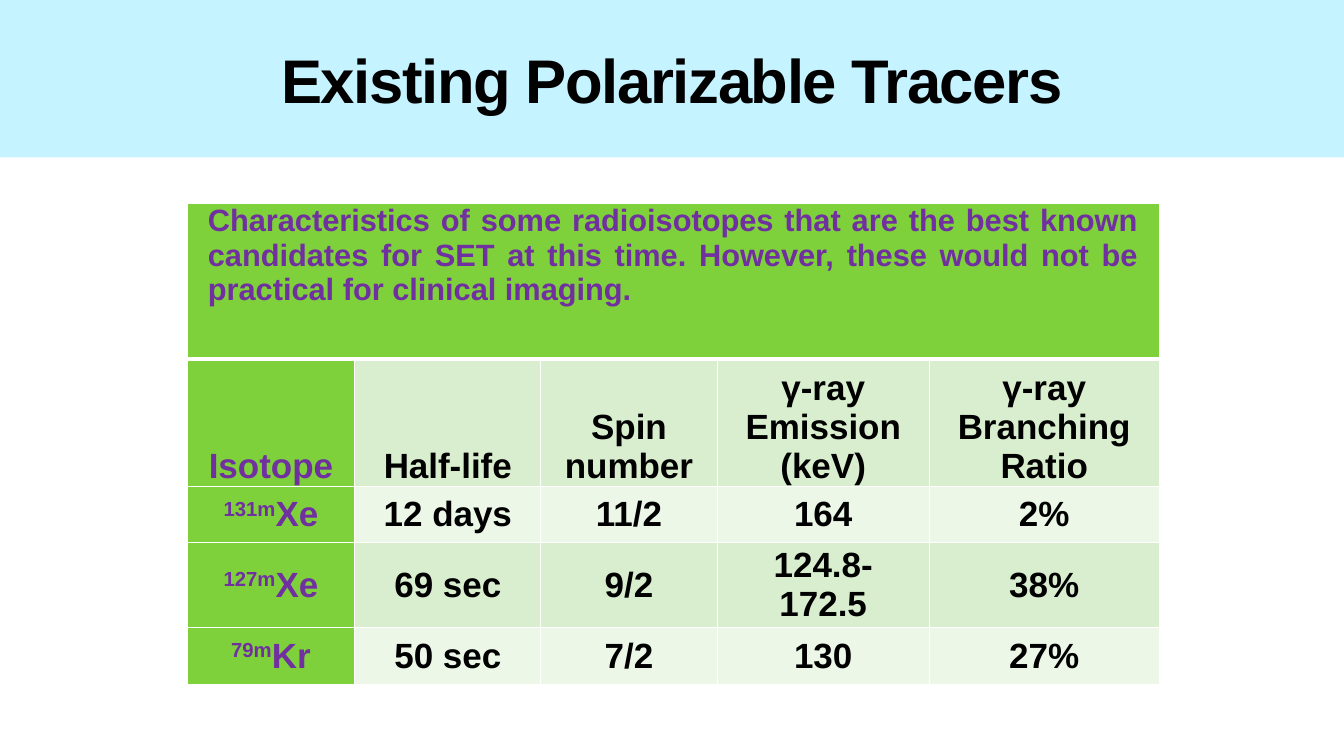
from lxml import etree
from pptx import Presentation
from pptx import util as u
from pptx.dml.color import RGBColor
from pptx.enum import text
from pptx.oxml.ns import qn

PX = 9525  # EMU per px, 96 px to the inch
FONT = "Arial"
COLORS = {
    "banner": "C5F3FF",
    "green": "7FD13B",
    "dark band": "D8EECE",
    "light band": "ECF7E8",
    "purple": "7030A0",
    "black": "000000",
    "white": "FFFFFF",
}
COLUMN_WIDTHS = [160, 177, 168, 202, 219]
ROW_HEIGHTS = [148, 121, 54, 81, 54]
CAPTION = (
    "Characteristics of some radioisotopes that are the best known candidates "
    "for SET at this time. However, these would not be practical for clinical imaging."
)
HEADINGS = ["Isotope", "Half-life", "Spin number", "γ-ray Emission (keV)",
            "γ-ray Branching Ratio"]
# Each isotope is a raised mass number and an element symbol
ISOTOPES = [
    [("131m", "Xe"), "12 days", "11/2", "164", "2%"],
    [("127m", "Xe"), "69 sec", "9/2", "124.8-172.5", "38%"],
    [("79m", "Kr"), "50 sec", "7/2", "130", "27%"],
]


def px(value):
    return u.Emu(value * PX)


def color(name):
    return RGBColor.from_string(COLORS[name])


def format_paragraph(paragraph, size, color_name, alignment):
    paragraph.alignment = alignment
    font = paragraph.font
    font.name, font.size, font.bold = FONT, u.Pt(size), True
    font.color.rgb = color(color_name)


def add_title(slide, title_text):
    title = slide.shapes.title
    title.left, title.top, title.width, title.height = px(0), px(0), px(1280), px(150)
    title.fill.solid()
    title.fill.fore_color.rgb = color("banner")
    frame = title.text_frame
    frame.vertical_anchor = text.MSO_ANCHOR.MIDDLE
    paragraph = frame.paragraphs[0]
    run = paragraph.add_run()
    run.text = title_text
    format_paragraph(paragraph, 44, "black", text.PP_ALIGN.CENTER)
    run.font._element.set("spc", "-100")


def set_borders(cell, top=1, bottom=1):
    properties = cell._tc.get_or_add_tcPr()
    for side, points in (("L", 1), ("R", 1), ("T", top), ("B", bottom)):
        line = etree.SubElement(properties, qn(f"a:ln{side}"), w=str(u.Pt(points)))
        fill = etree.SubElement(line, qn("a:solidFill"))
        etree.SubElement(fill, qn("a:srgbClr"), val=COLORS["white"])


def style_cell(cell, fill_name, anchor):
    cell.fill.solid()
    cell.fill.fore_color.rgb = color(fill_name)
    cell.margin_left = cell.margin_right = px(20)
    cell.margin_top = cell.margin_bottom = 0
    cell.vertical_anchor = anchor


def fill_cell(cell, content, size, color_name, alignment):
    paragraph = cell.text_frame.paragraphs[0]
    if isinstance(content, tuple):
        mass, symbol = paragraph.add_run(), paragraph.add_run()
        mass.text, symbol.text = content
        mass.font._element.set("baseline", "30000")
    else:
        paragraph.add_run().text = content
    format_paragraph(paragraph, size, color_name, alignment)


def add_isotope_table(slide):
    rows = [HEADINGS] + ISOTOPES
    table = slide.shapes.add_table(
        len(ROW_HEIGHTS), len(COLUMN_WIDTHS), px(178), px(194),
        px(sum(COLUMN_WIDTHS)), px(sum(ROW_HEIGHTS))).table
    table.first_row = table.horz_banding = False
    for column, width in zip(table.columns, COLUMN_WIDTHS):
        column.width = px(width)
    for row, height in zip(table.rows, ROW_HEIGHTS):
        row.height = px(height)

    # Caption across all columns
    for cell in table.rows[0].cells:
        set_borders(cell, bottom=3)
        style_cell(cell, "green", text.MSO_ANCHOR.TOP)
    caption = table.cell(0, 0)
    caption.merge(table.cell(0, len(COLUMN_WIDTHS) - 1))
    fill_cell(caption, CAPTION, 22, "purple", text.PP_ALIGN.JUSTIFY)

    # Headings and isotopes in alternating bands
    for row_index, values in enumerate(rows, start=1):
        heading = row_index == 1
        band = "dark band" if row_index % 2 else "light band"
        anchor = text.MSO_ANCHOR.BOTTOM if heading else text.MSO_ANCHOR.MIDDLE
        for column_index, value in enumerate(values):
            first = column_index == 0
            cell = table.cell(row_index, column_index)
            set_borders(cell, top=3 if heading else 1)
            style_cell(cell, "green" if first else band, anchor)
            fill_cell(cell, value, 25, "purple" if first else "black",
                      text.PP_ALIGN.CENTER)


def main():
    presentation = Presentation()
    presentation.slide_width, presentation.slide_height = px(1280), px(720)
    slide = presentation.slides.add_slide(presentation.slide_layouts[5])
    add_title(slide, "Existing Polarizable Tracers")
    add_isotope_table(slide)
    presentation.save("out.pptx")


if __name__ == "__main__":
    main()
